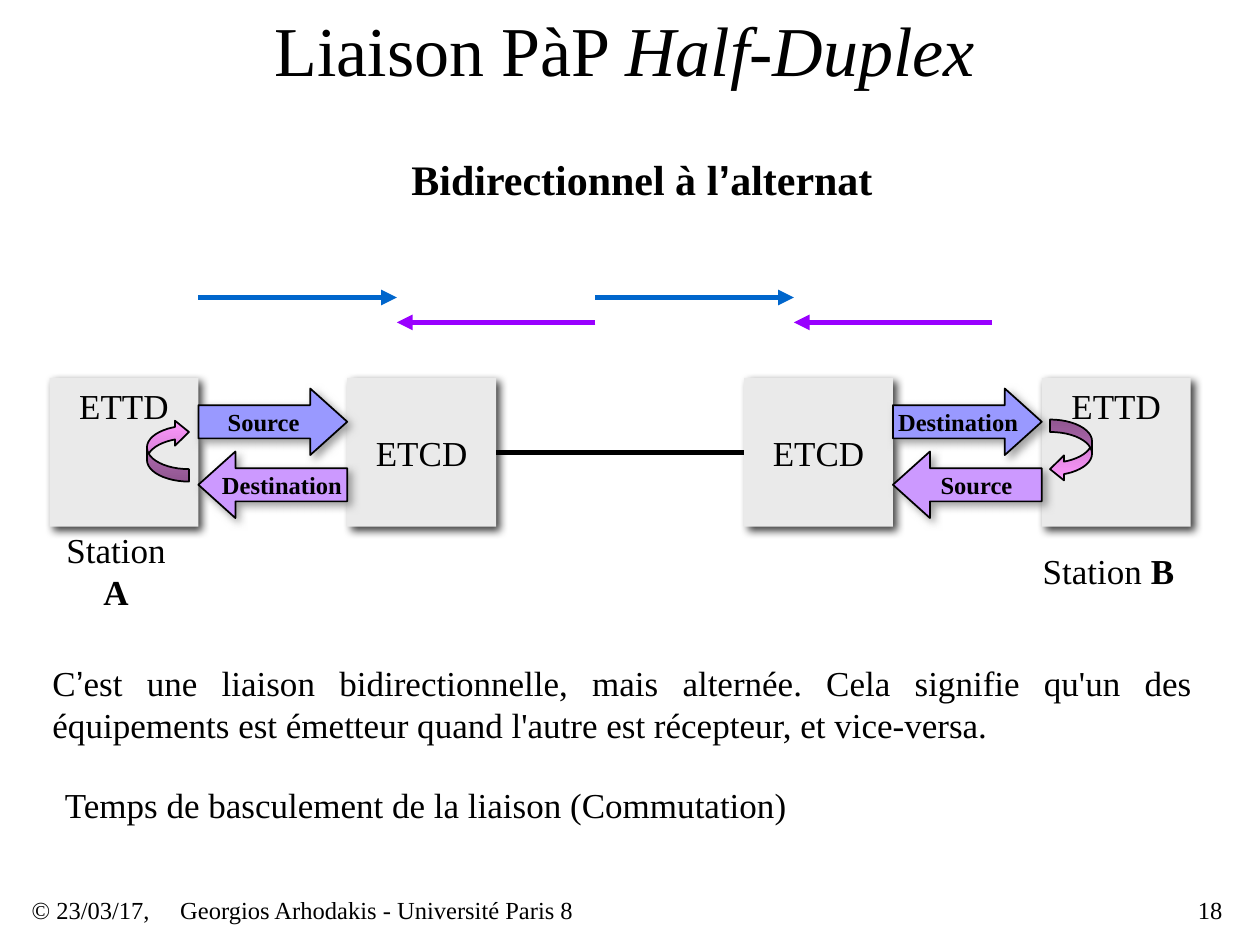
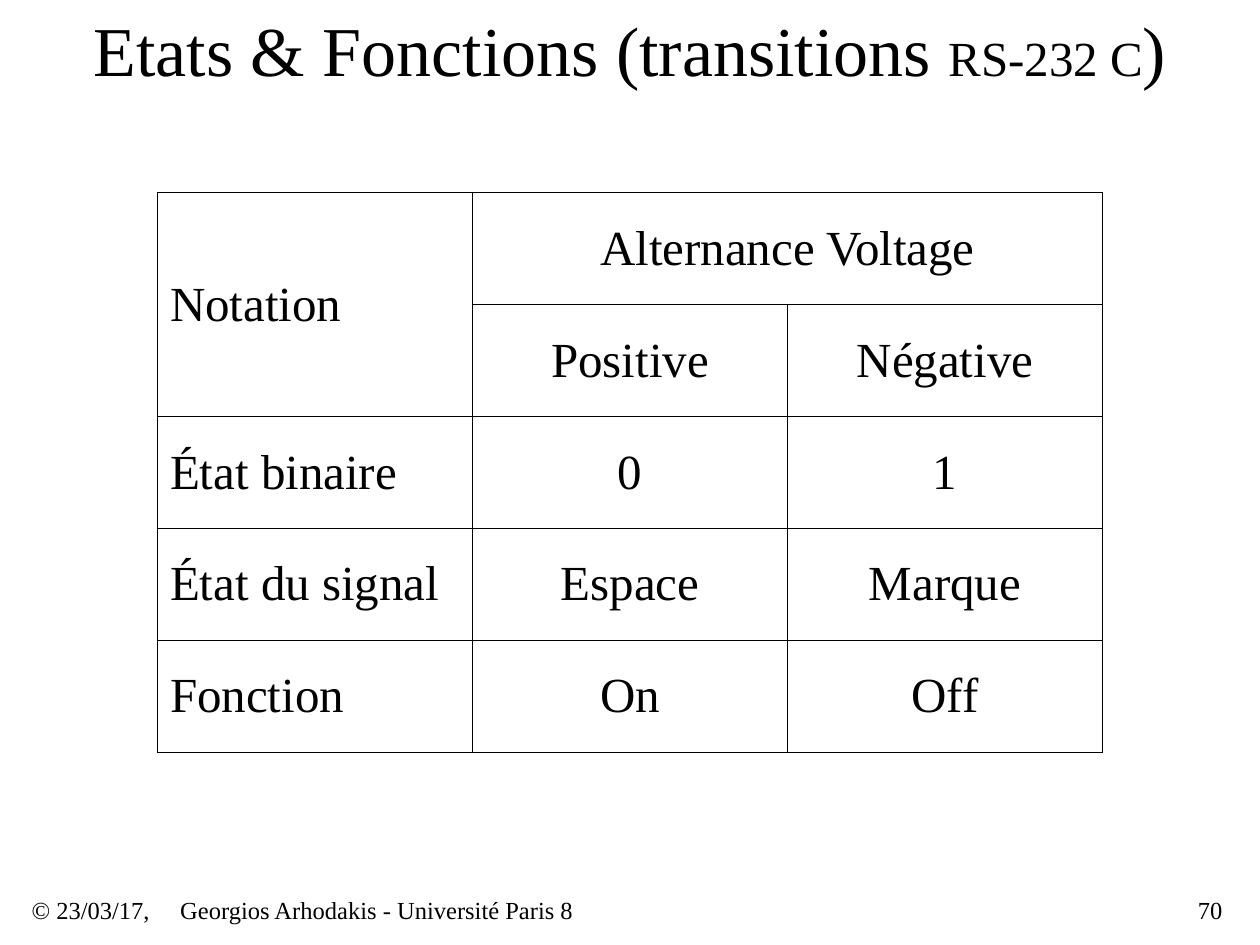
from dataclasses import dataclass
from typing import NamedTuple

from lxml.etree import SubElement
from pptx import Presentation
from pptx.dml.color import RGBColor
from pptx.enum.shapes import MSO_CONNECTOR as Link, MSO_SHAPE as Kind
from pptx.enum.text import MSO_ANCHOR as Anchor, PP_ALIGN as Align
from pptx.oxml.ns import qn
from pptx.slide import Slide
from pptx.util import Pt

SERIF, SANS = "Times New Roman", "Arial"
BLACK, GREY, SHADE = "000000", "EAEAEA", "808080"
BLUE, MAUVE = "9999FF", "CC99FF"
UNIT = 28.35  # the diagram sits on a grid of one centimetre
SIDE = 3 * UNIT
ROW = 216
NONE, FOOT, CELL = (0, 0, 0, 0), (3.6, 1.44, 3.6, 1.44), (7.2, 3.6, 7.2, 3.6)


class Box(NamedTuple):
    x: float
    y: float
    w: float
    h: float


@dataclass(frozen=True)
class Bit:
    text: str
    size: float = 20
    bold: bool = False
    slant: bool = False
    font: str = SERIF


@dataclass(frozen=True)
class Node:
    col: float
    name: str
    anchor: Anchor


@dataclass(frozen=True)
class Flow:
    """A block arrow between two nodes."""
    col: float
    top: float
    name: str
    fill: str
    back: bool


@dataclass(frozen=True)
class Ray:
    start: float
    end: float
    y: float
    tint: str


NODES = [
    Node(1, "ETTD", Anchor.TOP), Node(21, "ETTD", Anchor.TOP),
    Node(7, "ETCD", Anchor.MIDDLE), Node(15, "ETCD", Anchor.MIDDLE),
]
FLOWS = [
    Flow(4, 222, "Source", BLUE, False),
    Flow(18, 222, "Destination", BLUE, False),
    Flow(18, 258, "Source", MAUVE, True),
    Flow(4, 258, "Destination", MAUVE, True),
]
RAYS = [
    Ray(4, 8, 170, "0066CC"), Ray(12, 16, 170, "0066CC"),
    Ray(12, 8, 184.25, "9900FF"), Ray(20, 16, 184.25, "9900FF"),
]
STATES = [
    ["Notation", "Alternance Voltage", ""],
    ["", "Positive", "Négative"],
    ["État binaire", "0", "1"],
    ["État du signal", "Espace", "Marque"],
    ["Fonction", "On", "Off"],
]


def tint(code: str) -> RGBColor:
    return RGBColor.from_string(code)


def write(frame, bits: list[Bit], align=Align.LEFT, anchor=Anchor.MIDDLE,
          inset=NONE, wrap=True) -> None:
    frame.word_wrap = wrap
    frame.vertical_anchor = anchor
    (frame.margin_left, frame.margin_top,
     frame.margin_right, frame.margin_bottom) = map(Pt, inset)
    para = frame.paragraphs[0]
    para.alignment = align
    for bit in bits:
        run = para.add_run()
        run.text = bit.text
        font = run.font
        font.name, font.size = bit.font, Pt(bit.size)
        font.bold, font.italic = bit.bold, bit.slant
        font.color.rgb = tint(BLACK)


def label(slide: Slide, box: Box, bits: list[Bit], **style) -> None:
    write(slide.shapes.add_textbox(*map(Pt, box)).text_frame, bits, **style)


def shape(slide: Slide, kind: Kind, box: Box, adjust=(), flip=""):
    """Add a preset shape; flip names the mirrored axes, as in "HV"."""
    item = slide.shapes.add_shape(kind, *map(Pt, box))
    item.shadow.inherit = False
    for num, value in enumerate(adjust):
        item.adjustments[num] = value
    for axis in flip:
        item.element.spPr.find(qn("a:xfrm")).set("flip" + axis, "1")
    return item


def paint(item, code: str) -> None:
    item.fill.solid()
    item.fill.fore_color.rgb = tint(code)


def edge(item, code: str, width: float) -> None:
    item.line.color.rgb = tint(code)
    item.line.width = Pt(width)


def shade(item, code: str) -> None:
    """Cast a soft shadow to the lower right."""
    glow = item.element.spPr.find(qn("a:effectLst"))
    cast = SubElement(glow, qn("a:outerShdw"), blurRad=str(Pt(5)),
                      dist=str(Pt(3)), dir="2700000", algn="ctr",
                      rotWithShape="0")
    hue = SubElement(cast, qn("a:srgbClr"), val=code)
    SubElement(hue, qn("a:alpha"), val="75000")


def line(slide: Slide, start: float, end: float, y: float, code: str,
         arrow=False) -> None:
    item = slide.shapes.add_connector(
        Link.STRAIGHT, Pt(start), Pt(y), Pt(end), Pt(y))
    edge(item, code, 3)
    props = item.element.spPr
    if arrow:
        SubElement(props.find(qn("a:ln")), qn("a:tailEnd"), type="triangle")
    SubElement(props, qn("a:effectLst"))


def curl(slide: Slide, x: float, flip="") -> None:
    item = shape(slide, Kind.CURVED_LEFT_ARROW, Box(x, 239.75, 24, 35.5),
                 (0.297, 0.594, 0.333), flip)
    item.fill.gradient()
    item.fill.gradient_angle = 270
    for stop, code in zip(item.fill.gradient_stops, ("B66DB6", "FF99FF")):
        stop.color.rgb = tint(code)
    edge(item, BLACK, 1)


def frame(deck, title: list[Bit], page: int) -> Slide:
    """Start a slide with its footer and title."""
    slide = deck.slides.add_slide(deck.slide_layouts[6])
    feet = [
        (14.4, 142, "© 23/03/17,", Align.LEFT),
        (99.4, 369, "Georgios Arhodakis - Université Paris 8", Align.LEFT),
        (552.2, 150, str(page), Align.RIGHT),
    ]
    for x, w, text, align in feet:
        label(slide, Box(x, 510, w, 20), [Bit(text, 14)],
              align=align, inset=FOOT)
    label(slide, Box(24, 0, 672 if page == 70 else 666, 55.5), title,
          align=Align.CENTER, inset=CELL)
    return slide


def duplex(deck) -> None:
    slide = frame(deck, [Bit("Liaison PàP ", 40),
                         Bit("Half-Duplex", 40, slant=True)], 18)
    for node in NODES:
        item = shape(slide, Kind.RECTANGLE,
                     Box(node.col * UNIT, ROW, SIDE, SIDE))
        paint(item, GREY)
        item.line.fill.background()
        shade(item, BLACK)
        write(item.text_frame, [Bit(node.name)], Align.CENTER, node.anchor,
              CELL, wrap=False)
    for col, name in ((1, "A"), (21, "B")):
        label(slide, Box(col * UNIT, 312, 76, 28),
              [Bit("Station "), Bit(name, bold=True)], align=Align.CENTER)
    for flow in FLOWS:
        item = shape(slide, Kind.RIGHT_ARROW,
                     Box(flow.col * UNIT, flow.top, SIDE, 38),
                     (0.5, 0.556), "H" if flow.back else "")
        paint(item, flow.fill)
        edge(item, BLACK, 1)
        shade(item, SHADE)
        write(item.text_frame, [Bit(flow.name, 14, True)], Align.CENTER)
    line(slide, 10 * UNIT, 15 * UNIT, 258.5, BLACK)
    for ray in RAYS:
        line(slide, ray.start * UNIT, ray.end * UNIT, ray.y, ray.tint, True)
    curl(slide, 600)
    curl(slide, 84, "HV")
    label(slide, Box(228, 84.25, 279, 36),
          [Bit("Bidirectionnel à l", 24, True), Bit("’", 24, True, font=SANS),
           Bit("alternat", 24, True)],
          anchor=Anchor.TOP, inset=CELL, wrap=False)
    label(slide, Box(30, 444, 427, 31),
          [Bit("Temps de basculement de la liaison (Commutation)")],
          anchor=Anchor.TOP, inset=CELL, wrap=False)
    label(slide, Box(30, 378, 651.5, 48),
          [Bit("C"), Bit("’", font=SANS),
           Bit("est une liaison bidirectionnelle, mais alternée. Cela "
               "signifie qu'un des équipements est émetteur quand l'autre "
               "est récepteur, et vice-versa.")], align=Align.JUSTIFY)


def border(cell) -> None:
    props = cell._tc.get_or_add_tcPr()
    for spot, side in enumerate("LRTB"):
        rule = SubElement(props, qn("a:ln" + side), w=str(Pt(1)))
        fill = SubElement(rule, qn("a:solidFill"))
        SubElement(fill, qn("a:srgbClr"), val=BLACK)
        props.insert(spot, rule)


def states(deck) -> None:
    slide = frame(deck, [Bit("Etats & Fonctions (transitions ", 40),
                         Bit("RS-232 C", 28), Bit(")", 40)], 70)
    grid = slide.shapes.add_table(
        5, 3, *map(Pt, Box(90, 110, 540, 320))).table
    grid.first_row = grid.horz_banding = False
    grid.cell(0, 0).merge(grid.cell(1, 0))
    grid.cell(0, 1).merge(grid.cell(0, 2))
    for row, texts in enumerate(STATES):
        for col, text in enumerate(texts):
            cell = grid.cell(row, col)
            cell.fill.background()
            border(cell)
            if text:
                cell.vertical_anchor = Anchor.MIDDLE
                para = cell.text_frame.paragraphs[0]
                para.alignment = Align.CENTER if col else Align.LEFT
                run = para.add_run()
                run.text = text
                run.font.name, run.font.size = SERIF, Pt(28)
                run.font.color.rgb = tint(BLACK)


def main() -> None:
    deck = Presentation()
    deck.slide_width, deck.slide_height = Pt(720), Pt(540)
    duplex(deck)
    states(deck)
    deck.save("out.pptx")


if __name__ == "__main__":
    main()
